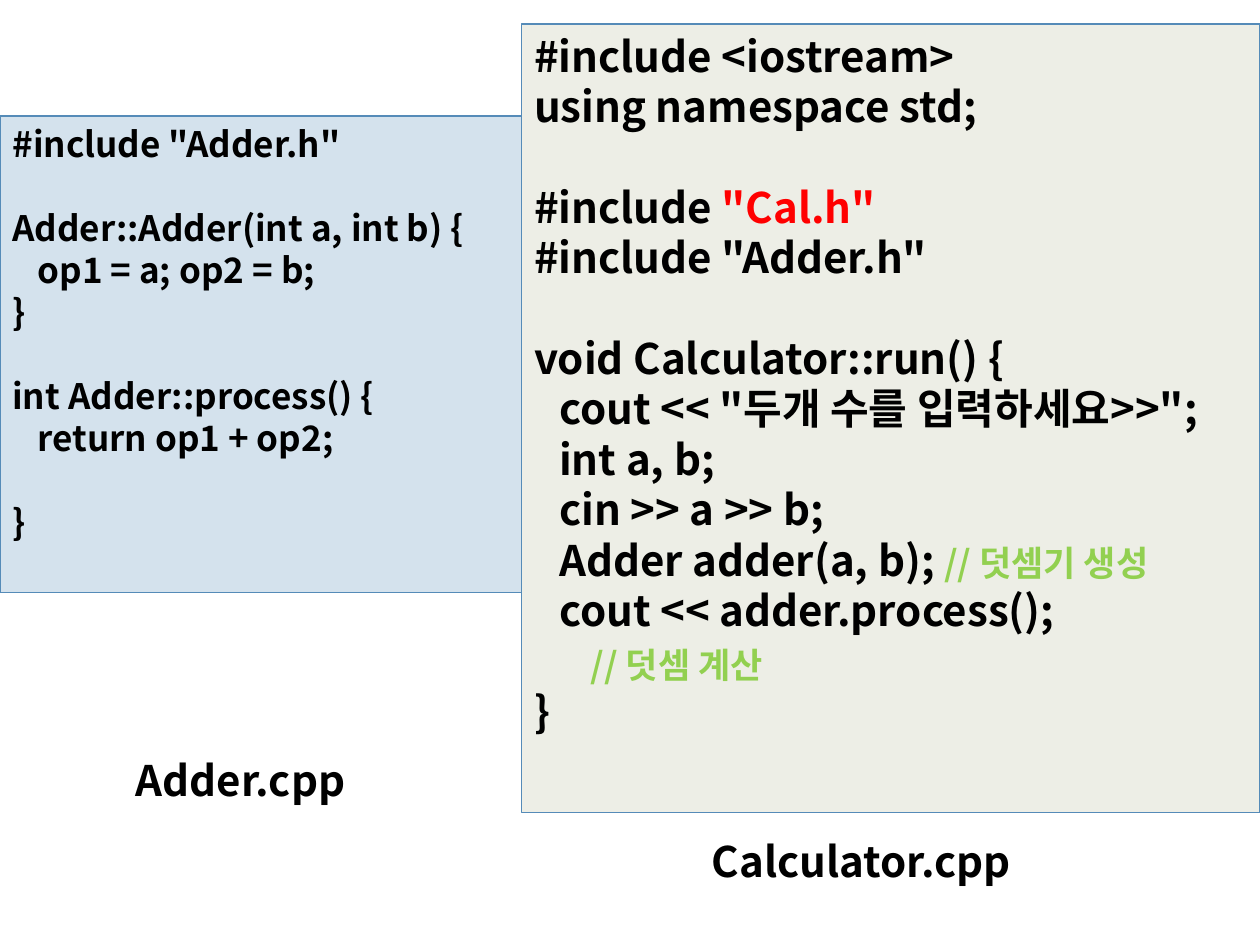
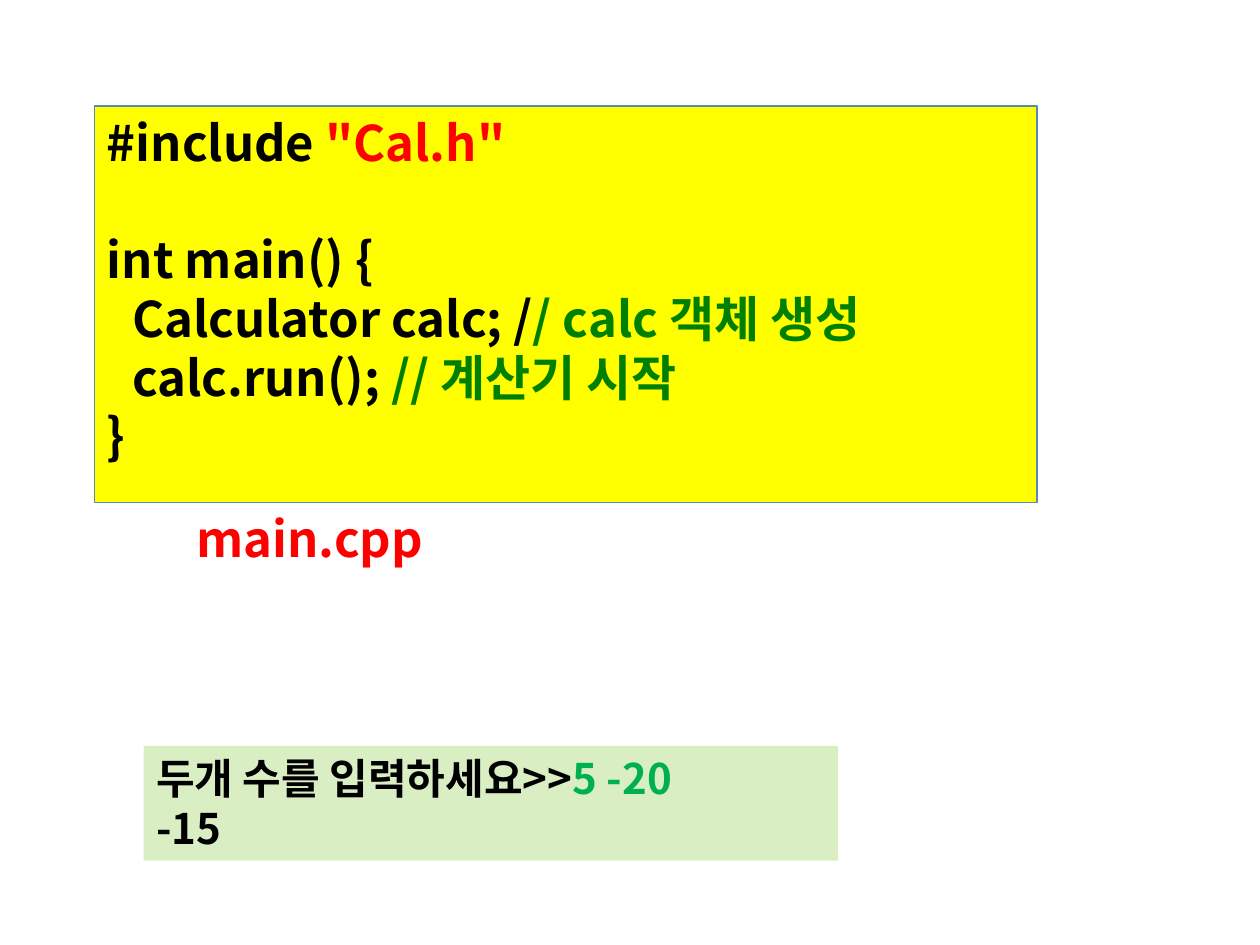
"""Build two slides of C++ source listings with captions and program output."""
from dataclasses import dataclass

from pptx import Presentation
from pptx.dml.color import RGBColor
from pptx.enum.shapes import MSO_SHAPE
from pptx.enum.text import MSO_ANCHOR, MSO_AUTO_SIZE, PP_ALIGN
from pptx.oxml.ns import qn
from pptx.slide import Slide
from pptx.text.text import TextFrame
from pptx.util import Emu, Pt

PX = 9144
FONT = "Noto Sans CJK KR"
LEADING = 1.2
TAB = 20
COLORS = {
    "text": "000000",
    "red": "FF0000",
    "lime": "92D050",
    "green": "008000",
    "input": "00B050",
    "outline": "558BB8",
    "adder": "D4E2ED",
    "calculator": "EDEEE6",
    "main": "FFFF00",
    "console": "DAEEC4",
}


@dataclass(frozen=True)
class Span:
    text: str
    color: str = "text"
    size: int | None = None


@dataclass(frozen=True)
class Line:
    spans: tuple[Span, ...]
    indent: int = 0
    gap: bool = False


@dataclass(frozen=True)
class Panel:
    box: tuple[int, int, int, int]
    size: int
    lines: tuple[Line, ...]
    fill: str
    outline: bool = True


@dataclass(frozen=True)
class Caption:
    box: tuple[int, int, int, int]
    size: int
    text: str
    color: str = "text"


def line(*parts: str | Span, indent: int = 0, gap: bool = False) -> Line:
    spans = tuple(Span(part) if isinstance(part, str) else part for part in parts)
    return Line(spans, indent, gap)


def rgb(name: str) -> RGBColor:
    return RGBColor.from_string(COLORS[name])


def px(values: tuple[int, ...]) -> tuple[Emu, ...]:
    return tuple(Emu(value * PX) for value in values)


def write_lines(tf: TextFrame, lines: tuple[Line, ...], size: int) -> None:
    leading = Pt(size * LEADING)
    for i, row in enumerate(lines):
        p = tf.paragraphs[0] if i == 0 else tf.add_paragraph()
        p.alignment = PP_ALIGN.LEFT
        p.line_spacing = leading
        p.space_before = leading if row.gap else Pt(0)
        if row.indent:
            p._p.get_or_add_pPr().set("marL", str(row.indent * PX))
        for span in row.spans:
            r = p.add_run()
            r.text = span.text
            r.font.name = FONT
            r.font.size = Pt(span.size or size)
            r.font.bold = True
            r.font.color.rgb = rgb(span.color)
            ea = r._r.get_or_add_rPr().makeelement(qn("a:ea"), {"typeface": FONT})
            r.font._element.find(qn("a:latin")).addnext(ea)


def draw_panel(s: Slide, panel: Panel) -> None:
    sp = s.shapes.add_shape(MSO_SHAPE.RECTANGLE, *px(panel.box))
    sp.shadow.inherit = False
    sp.fill.solid()
    sp.fill.fore_color.rgb = rgb(panel.fill)
    if panel.outline:
        sp.line.color.rgb = rgb("outline")
        sp.line.width = Pt(0.75)
    else:
        sp.line.fill.background()
    tf = sp.text_frame
    tf.word_wrap = True
    tf.vertical_anchor = MSO_ANCHOR.TOP
    write_lines(tf, panel.lines, panel.size)


def draw_caption(s: Slide, caption: Caption) -> None:
    tf = s.shapes.add_textbox(*px(caption.box)).text_frame
    tf.word_wrap = False
    tf.auto_size = MSO_AUTO_SIZE.SHAPE_TO_FIT_TEXT
    write_lines(tf, (line(Span(caption.text, caption.color)),), caption.size)


CAL_H = Span('"Cal.h"', "red")

ADDER = Panel((0, 92, 464, 378), 20, (
    line('#include "Adder.h"'),
    line("Adder::Adder(int a, int b) {", gap=True),
    line("op1 = a; op2 = b;", indent=TAB),
    line("}"),
    line("int Adder::process() {", gap=True),
    line("return op1 + op2;", indent=TAB),
    line("}", gap=True),
), "adder")

CALCULATOR = Panel((414, 19, 586, 626), 24, (
    line("#include <iostream>"),
    line("using namespace std;"),
    line("#include ", CAL_H, gap=True),
    line('#include "Adder.h"'),
    line("void Calculator::run() {", gap=True),
    line('cout << "두개 수를 입력하세요>>";', indent=TAB),
    line("int a, b;", indent=TAB),
    line("cin >> a >> b;", indent=TAB),
    line("Adder adder(a, b); ", Span("// 덧셈기 생성", "lime", 20), indent=TAB),
    line("cout << adder.process();", indent=TAB),
    line(Span("// 덧셈 계산", "lime", 20), indent=45),
    line("}"),
), "calculator")

MAIN = Panel((75, 84, 748, 315), 28, (
    line("#include ", CAL_H),
    line("int main() {", gap=True),
    line("Calculator calc; /", Span("/ calc 객체 생성", "green"), indent=TAB),
    line("calc.run(); ", Span("// 계산기 시작", "green"), indent=TAB),
    line("}"),
), "main")

CONSOLE = Panel((114, 592, 551, 91), 24, (
    line("두개 수를 입력하세요>>", Span("5 -20", "input")),
    line("-15"),
), "console", outline=False)

SLIDES = (
    ((ADDER, CALCULATOR), (
        Caption((98, 594, 204, 50), 24, "Adder.cpp"),
        Caption((555, 658, 284, 50), 24, "Calculator.cpp"),
    )),
    ((MAIN, CONSOLE), (
        Caption((146, 399, 212, 57), 28, "main.cpp", "red"),
    )),
)


def main() -> None:
    prs = Presentation()
    prs.slide_width, prs.slide_height = px((1000, 750))
    for panels, captions in SLIDES:
        s = prs.slides.add_slide(prs.slide_layouts[6])
        for panel in panels:
            draw_panel(s, panel)
        for caption in captions:
            draw_caption(s, caption)
    prs.save("out.pptx")


if __name__ == "__main__":
    main()
